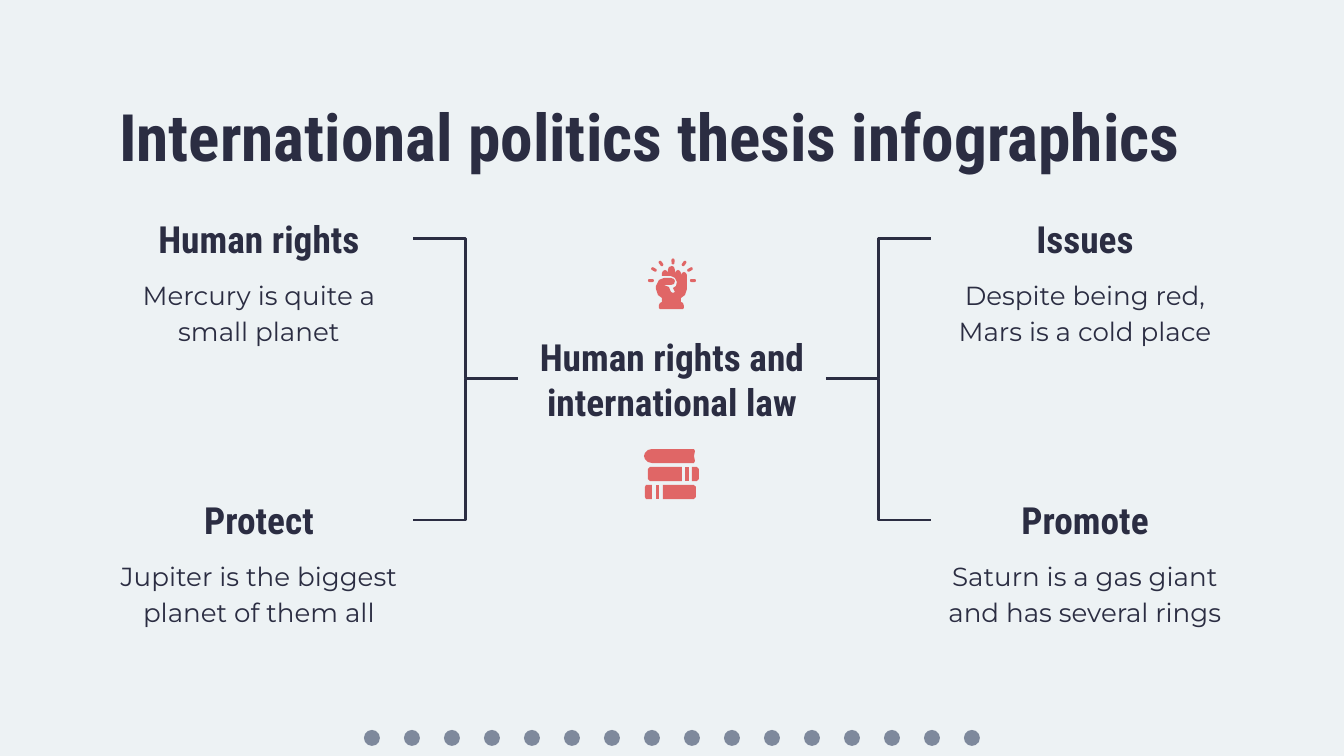
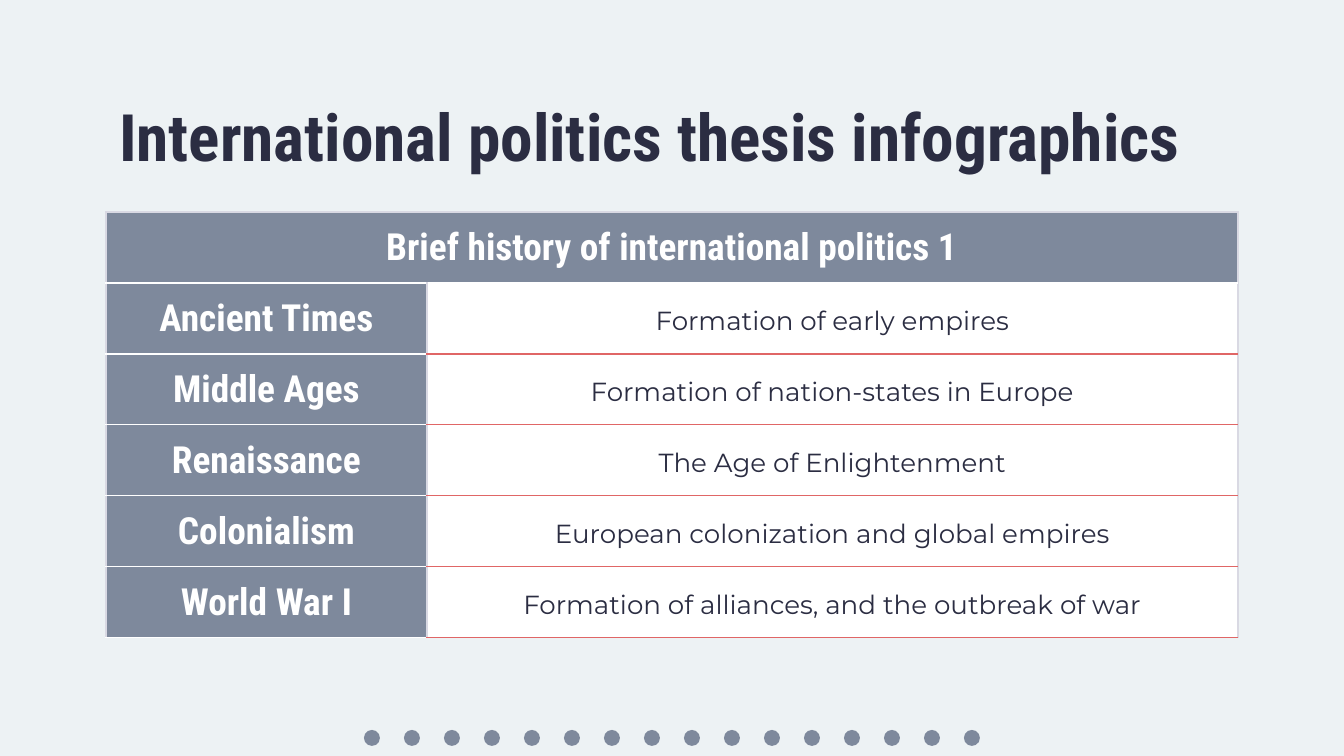
from lxml import etree
from pptx import Presentation
from pptx.dml.color import RGBColor
from pptx.enum.shapes import MSO_CONNECTOR, MSO_SHAPE
from pptx.enum.text import MSO_ANCHOR, PP_ALIGN
from pptx.oxml.ns import qn
from pptx.util import Pt

EMU_PER_PX = 914400 / 134.4
SLIDE_WIDTH, SLIDE_HEIGHT = 1344, 756
INSET = 13

ELLIPSE = MSO_SHAPE.OVAL
ROUNDED = MSO_SHAPE.ROUNDED_RECTANGLE
ELBOW = MSO_CONNECTOR.ELBOW
LEFT, CENTER = PP_ALIGN.LEFT, PP_ALIGN.CENTER
TOP, MIDDLE = MSO_ANCHOR.TOP, MSO_ANCHOR.MIDDLE
LEFT_SIDE, RIGHT_SIDE = 1, 3

COLORS = {
    "background": "EDF2F4",
    "ink": "2B2D42",
    "slate": "7E899C",
    "red": "E06666",
    "white": "FFFFFF",
    "edge": "D9D9E3",
}
FONTS = {
    "title": {"name": "Roboto Condensed", "size": Pt(35), "bold": True},
    "heading": {"name": "Roboto Condensed", "size": Pt(20), "bold": True},
    "body": {"name": "Montserrat", "size": Pt(14), "bold": False},
}
LINE_SPACING = {"title": 1.0, "heading": 1.0, "body": 1.15}

TITLE = "International politics thesis infographics"
TOPIC_WIDTH = 308
CENTER_LEFT = 518
TOPICS = [
    (105, 204, "Human rights", "Mercury is quite a small planet"),
    (931, 204, "Issues", "Despite being red, Mars is a cold place"),
    (105, 485, "Protect", "Jupiter is the biggest planet of them all"),
    (931, 485, "Promote", "Saturn is a gas giant and has several rings"),
]

BOOK_PARTS = [
    [(652, 449), (694, 449), (695, 451), (694, 456), (695, 461), (694, 463),
     (652, 463), (648, 462), (645, 459), (644, 456), (645, 453), (648, 450)],
    [(650, 467), (682, 467), (682, 481), (650, 481), (648, 479), (648, 469)],
    [(685, 467), (689, 467), (689, 481), (685, 481)],
    [(692, 467), (697, 467), (699, 469), (699, 479), (697, 481), (692, 481)],
    [(646, 485), (652, 485), (652, 499), (646, 499), (645, 497), (645, 487)],
    [(656, 485), (659, 485), (659, 499), (656, 499)],
    [(663, 485), (694, 485), (696, 487), (696, 497), (694, 499), (663, 499)],
]
FIST = [
    (672, 266), (669, 267), (668, 270), (668, 273), (667, 271), (665, 270),
    (663, 271), (662, 273), (662, 276), (671, 276), (675, 278), (677, 282),
    (676, 286), (673, 288), (675, 292), (673, 293), (671, 292), (669, 287),
    (664, 285), (671, 285), (674, 284), (675, 281), (674, 279), (671, 278),
    (664, 278), (659, 280), (656, 286), (656, 289), (658, 295), (662, 298),
    (662, 302), (660, 303), (659, 305), (659, 308), (660, 309), (683, 309),
    (684, 308), (684, 306), (683, 303), (681, 302), (681, 298), (685, 295),
    (687, 289), (687, 275), (686, 273), (684, 272), (682, 273), (681, 275),
    (681, 273), (680, 271), (678, 270), (676, 271), (675, 273), (675, 270),
    (674, 267),
]
# Centre and angle of each ray around the fist
RAYS = [(651, 280, 0), (654, 269, 30), (661, 263, 55), (673, 261, 90),
        (684, 263, 125), (690, 269, 150), (693, 280, 0)]

TABLE_TITLE = "Brief history of international politics 1"
HISTORY = [
    ("Ancient Times", "Formation of early empires"),
    ("Middle Ages", "Formation of nation-states in Europe"),
    ("Renaissance", "The Age of Enlightenment"),
    ("Colonialism", "European colonization and global empires"),
    ("World War I", "Formation of alliances, and the outbreak of war"),
]
COLUMN_WIDTHS = (321, 811)
ROW_HEIGHT = 71


def px(value):
    return round(value * EMU_PER_PX)


def rgb(name):
    return RGBColor.from_string(COLORS[name])


def write(text_frame, text, style, color="ink", align=CENTER):
    paragraph = text_frame.paragraphs[0]
    paragraph.alignment = align
    paragraph.line_spacing = LINE_SPACING[style]
    run = paragraph.add_run()
    run.text = text
    for attribute, value in FONTS[style].items():
        setattr(run.font, attribute, value)
    run.font.color.rgb = rgb(color)


def set_margins(target):
    for side in ("left", "top", "right", "bottom"):
        setattr(target, f"margin_{side}", px(INSET))


def fill_text(shape, text, style, anchor=TOP, align=CENTER):
    """Put one styled paragraph in a box."""
    frame = shape.text_frame
    frame.word_wrap = True
    frame.vertical_anchor = anchor
    set_margins(frame)
    write(frame, text, style, align=align)


def add_text(shapes, left, top, width, height, text, style, align=CENTER):
    box = shapes.add_textbox(px(left), px(top), px(width), px(height))
    fill_text(box, text, style, align=align)


def paint(shape, color):
    """Give a shape a flat fill, without line or shadow."""
    shape.shadow.inherit = False
    shape.line.fill.background()
    if color:
        shape.fill.solid()
        shape.fill.fore_color.rgb = rgb(color)
    else:
        shape.fill.background()


def add_preset(shapes, kind, left, top, width, height, color=None):
    shape = shapes.add_shape(kind, px(left), px(top), px(width), px(height))
    paint(shape, color)
    return shape


def add_outline(shapes, points, color):
    builder = shapes.build_freeform(*points[0], scale=EMU_PER_PX)
    builder.add_line_segments(points[1:], close=True)
    paint(builder.convert_to_shape(), color)


def add_heading(shapes, left, top, height, text):
    shape = add_preset(shapes, ROUNDED, left, top, TOPIC_WIDTH, height)
    shape.adjustments[0] = 0
    fill_text(shape, text, "heading", MIDDLE)
    return shape


def add_topic(slide, left, top, heading, body):
    """Add a heading with its text and return the heading."""
    shapes = slide.shapes.add_group_shape().shapes
    add_text(shapes, left, top + 58, TOPIC_WIDTH, 86, body, "body")
    return add_heading(shapes, left, top, 70, heading)


def add_bracket(slide, hub, topic):
    connector = slide.shapes.add_connector(ELBOW, 0, 0, 0, 0)
    on_left = topic.left < hub.left
    connector.begin_connect(hub, LEFT_SIDE if on_left else RIGHT_SIDE)
    connector.end_connect(topic, RIGHT_SIDE if on_left else LEFT_SIDE)
    connector.line.color.rgb = rgb("ink")
    connector.line.width = Pt(1.5)
    etree.SubElement(connector._element.spPr, qn("a:effectLst"))


def add_books(slide):
    shapes = slide.shapes.add_group_shape().shapes
    for part in BOOK_PARTS:
        add_outline(shapes, part, "red")


def add_fist(slide):
    shapes = slide.shapes.add_group_shape().shapes
    for x, y, angle in RAYS:
        ray = add_preset(shapes, ROUNDED, x - 3, y - 1, 6, 3, "red")
        ray.adjustments[0] = 0.5
        ray.rotation = angle
    add_outline(shapes, FIST, "red")


def set_borders(cell, top, bottom):
    properties = cell._tc.get_or_add_tcPr()
    sides = {"lnL": "edge", "lnR": "edge", "lnT": top, "lnB": bottom}
    for tag, color in sides.items():
        line = etree.SubElement(properties, qn(f"a:{tag}"), w=str(Pt(0.75)))
        fill = etree.SubElement(line, qn("a:solidFill"))
        etree.SubElement(fill, qn("a:srgbClr"), val=COLORS[color])


def style_cell(cell, fill, top, bottom):
    set_borders(cell, top, bottom)
    cell.fill.solid()
    cell.fill.fore_color.rgb = rgb(fill)
    cell.vertical_anchor = MIDDLE
    set_margins(cell)


def add_history_table(slide):
    row_count = len(HISTORY) + 1
    table = slide.shapes.add_table(
        row_count, 2, px(106), px(212),
        px(sum(COLUMN_WIDTHS)), px(row_count * ROW_HEIGHT)).table
    table.first_row = table.horz_banding = False
    for column, width in zip(table.columns, COLUMN_WIDTHS):
        column.width = px(width)
    for row in table.rows:
        row.height = px(ROW_HEIGHT)

    for column in range(2):
        style_cell(table.cell(0, column), "slate", "edge", "white")
    table.cell(0, 0).merge(table.cell(0, 1))
    write(table.cell(0, 0).text_frame, TABLE_TITLE, "heading", "white")

    for row, (period, event) in enumerate(HISTORY, start=1):
        period_cell, event_cell = table.cell(row, 0), table.cell(row, 1)
        style_cell(period_cell, "slate", "white", "white")
        write(period_cell.text_frame, period, "heading", "white")
        style_cell(event_cell, "white", "white" if row == 1 else "red", "red")
        write(event_cell.text_frame, event, "body")


def add_slide(presentation):
    """Add a slide with the shared background, dots and title."""
    slide = presentation.slides.add_slide(presentation.slide_layouts[6])
    slide.background.fill.solid()
    slide.background.fill.fore_color.rgb = rgb("background")
    dots = slide.shapes.add_group_shape().shapes
    for index in range(16):
        add_preset(dots, ELLIPSE, 364 + 40 * index, 730, 16, 16, "slate")
    add_text(slide.shapes, 106, 83, 1132, 83, TITLE, "title", LEFT)
    return slide


def build_rights_slide(presentation):
    slide = add_slide(presentation)
    topics = [add_topic(slide, *topic) for topic in TOPICS]
    hub = add_heading(slide.shapes, CENTER_LEFT, 309, 140,
                      "Human rights and international law")
    for topic in topics:
        add_bracket(slide, hub, topic)
    add_books(slide)
    add_fist(slide)


def main():
    presentation = Presentation()
    presentation.slide_width = px(SLIDE_WIDTH)
    presentation.slide_height = px(SLIDE_HEIGHT)
    build_rights_slide(presentation)
    add_history_table(add_slide(presentation))
    presentation.save("out.pptx")


if __name__ == "__main__":
    main()
